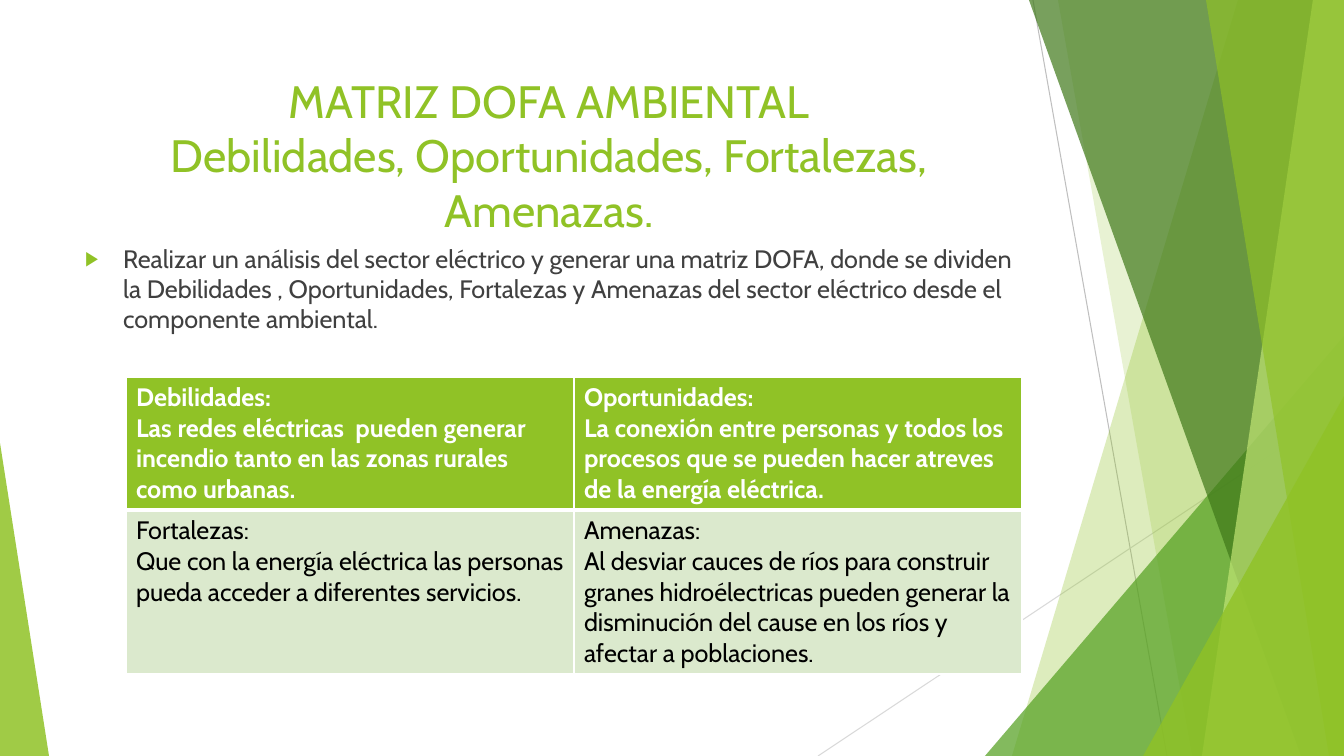
import pptx
import pptx.util
import pptx.dml.color
import pptx.enum.shapes
import pptx.enum.text
import pptx.oxml
import pptx.oxml.ns
from dataclasses import dataclass

PX = 914400 / 100.8
WIDE, HIGH = 1344, 756


@dataclass
class Theme:
    font: str = "Cabin"
    lime: str = "90C226"
    leaf: str = "54A021"
    moss: str = "3F7819"
    pale: str = "C0E474"
    mint: str = "DBE9CD"
    white: str = "FFFFFF"
    black: str = "000000"
    ink: str = "404040"
    silver: str = "BFBFBF"
    mist: str = "D9D9D9"
    head: float = 32.4
    body: float = 18


def emu(px):
    return pptx.util.Emu(round(px * PX))


def rgb(code):
    return pptx.dml.color.RGBColor.from_string(code)


def node(parent, tag, **attrs):
    part = parent.makeelement(pptx.oxml.ns.qn(tag), attrs)
    parent.append(part)
    return part


def write(frame, text, font, size, color, bold=False, align=None, before=0):
    """Newline starts a paragraph, vertical tab breaks a line."""
    frame.word_wrap = True
    for i, row in enumerate(text.split("\n")):
        para = frame.paragraphs[0] if i == 0 else frame.add_paragraph()
        para.alignment = align
        para.space_before = pptx.util.Pt(before)
        for j, line in enumerate(row.split("\v")):
            if j:
                para.add_line_break()
            run = para.add_run()
            run.text = line
            run.font.name = font
            run.font.size = pptx.util.Pt(size)
            run.font.bold = bold
            run.font.color.rgb = rgb(color)


class Deck:
    def __init__(self, theme):
        self.theme = theme
        self.file = pptx.Presentation()
        self.file.slide_width, self.file.slide_height = emu(WIDE), emu(HIGH)
        self.slide = self.file.slides.add_slide(self.file.slide_layouts[1])
        self.shapes = self.slide.shapes

    def line(self, x1, y1, x2, y2, color):
        kind = pptx.enum.shapes.MSO_CONNECTOR.STRAIGHT
        wire = self.shapes.add_connector(kind, emu(x1), emu(y1), emu(x2), emu(y2))
        wire.line.color.rgb = rgb(color)
        wire.line.width = pptx.util.Pt(0.75)
        node(wire._element.spPr, "a:effectLst")

    def paint(self, shape, color, alpha):
        shape.shadow.inherit = False
        shape.line.fill.background()
        shape.fill.solid()
        shape.fill.fore_color.rgb = rgb(color)
        tint = shape._element.spPr.find(".//" + pptx.oxml.ns.qn("a:srgbClr"))
        node(tint, "a:alpha", val=str(alpha * 1000))

    def blade(self, top, foot, color, alpha):
        """Band from a slanted left edge to the right side of the slide."""
        path = self.shapes.build_freeform(top, 0, scale=PX)
        path.add_line_segments([(WIDE, 0), (WIDE, HIGH), (foot, HIGH)], close=True)
        self.paint(path.convert_to_shape(), color, alpha)

    def wedge(self, x, y, width, peak, color, alpha):
        """Triangle that stands on the foot of the slide."""
        kind = pptx.enum.shapes.MSO_SHAPE.ISOSCELES_TRIANGLE
        shape = self.shapes.add_shape(kind, emu(x), emu(y), emu(width), emu(HIGH - y))
        shape.adjustments[0] = peak
        self.paint(shape, color, alpha)

    def place(self, holder, x, y, width, height):
        """Set a placeholder's box and bring it to the front."""
        holder.left, holder.top = emu(x), emu(y)
        holder.width, holder.height = emu(width), emu(height)
        self.shapes._spTree.append(holder._element)
        frame = holder.text_frame
        frame.auto_size = pptx.enum.text.MSO_AUTO_SIZE.NONE
        frame.vertical_anchor = pptx.enum.text.MSO_ANCHOR.TOP
        return frame

    def title(self, text, *box):
        look = self.theme
        frame = self.place(self.shapes.title, *box)
        write(frame, text, look.font, look.head, look.lime,
              align=pptx.enum.text.PP_ALIGN.CENTER)

    def bullet(self, text, *box):
        look = self.theme
        frame = self.place(self.slide.placeholders[1], *box)
        write(frame, text, look.font, look.body, look.ink, before=10)
        for para in frame.paragraphs:
            props = para._p.get_or_add_pPr()
            props.set("marL", str(emu(38)))
            props.set("indent", str(-emu(38)))
            tint = node(props, "a:buClr")
            node(tint, "a:srgbClr", val=look.lime)
            node(props, "a:buSzPct", val="80000")
            node(props, "a:buFont", typeface="Arial")
            node(props, "a:buChar", char="▶")

    def border(self, cell, **widths):
        props = cell._tc.get_or_add_tcPr()
        for side, width in widths.items():
            edge = node(props, "a:ln" + side, w=str(pptx.util.Pt(width)))
            fill = node(edge, "a:solidFill")
            node(fill, "a:srgbClr", val=self.theme.white)

    def table(self, rows, x, y, width, heights):
        look = self.theme
        cols = len(rows[0])
        grid = self.shapes.add_table(len(rows), cols, emu(x), emu(y),
                                     emu(width), emu(sum(heights))).table
        grid.first_row = grid.horz_banding = False
        for col in grid.columns:
            col.width = emu(width / cols)
        for r, texts in enumerate(rows):
            grid.rows[r].height = emu(heights[r])
            top = r == 0
            for c, text in enumerate(texts):
                cell = grid.cell(r, c)
                self.border(cell, L=1, R=1, T=1 if top else 3, B=3 if top else 1)
                cell.fill.solid()
                cell.fill.fore_color.rgb = rgb(look.lime if top else look.mint)
                write(cell.text_frame, text, look.font, look.body,
                      look.white if top else look.black, bold=top)


def main():
    look = Theme()
    deck = Deck(look)

    # Backdrop
    deck.line(1033, 0, 1167, HIGH, look.silver)
    deck.line(WIDE, 406, 818, HIGH, look.mist)
    deck.blade(1238, 1012, look.lime, 30)
    deck.blade(1058, 1192, look.lime, 20)
    deck.wedge(985, 336, 359, 1, look.leaf, 72)
    deck.blade(1029, 1301, look.moss, 70)
    deck.blade(1313, 1202, look.pale, 70)
    deck.blade(1206, 1329, look.lime, 65)
    deck.wedge(1143, 396, 201, 1, look.lime, 80)
    deck.wedge(0, 443, 49, 0, look.lime, 85)

    # Heading and task
    deck.title("MATRIZ DOFA AMBIENTAL\vDebilidades, Oportunidades, Fortalezas, Amenazas.",
               75, 68, 948, 145)
    deck.bullet("Realizar un análisis del sector eléctrico y generar una matriz DOFA, "
                "donde se dividen la Debilidades , Oportunidades, Fortalezas y Amenazas "
                "del sector eléctrico desde el componente ambiental.",
                75, 238, 948, 427)

    # Matrix
    deck.table([
        ["Debilidades:\nLas redes eléctricas  pueden generar incendio tanto en las "
         "zonas rurales como urbanas.",
         "Oportunidades:\nLa conexión entre personas y todos los procesos que se "
         "pueden hacer atreves de la energía eléctrica."],
        ["Fortalezas:\nQue con la energía eléctrica las personas pueda acceder a "
         "diferentes servicios.",
         "Amenazas:\nAl desviar cauces de ríos para construir granes hidroélectricas "
         "pueden generar la disminución del cause en los ríos y afectar a poblaciones."],
    ], 126, 377, 896, [133, 163])

    deck.file.save("out.pptx")


if __name__ == "__main__":
    main()
